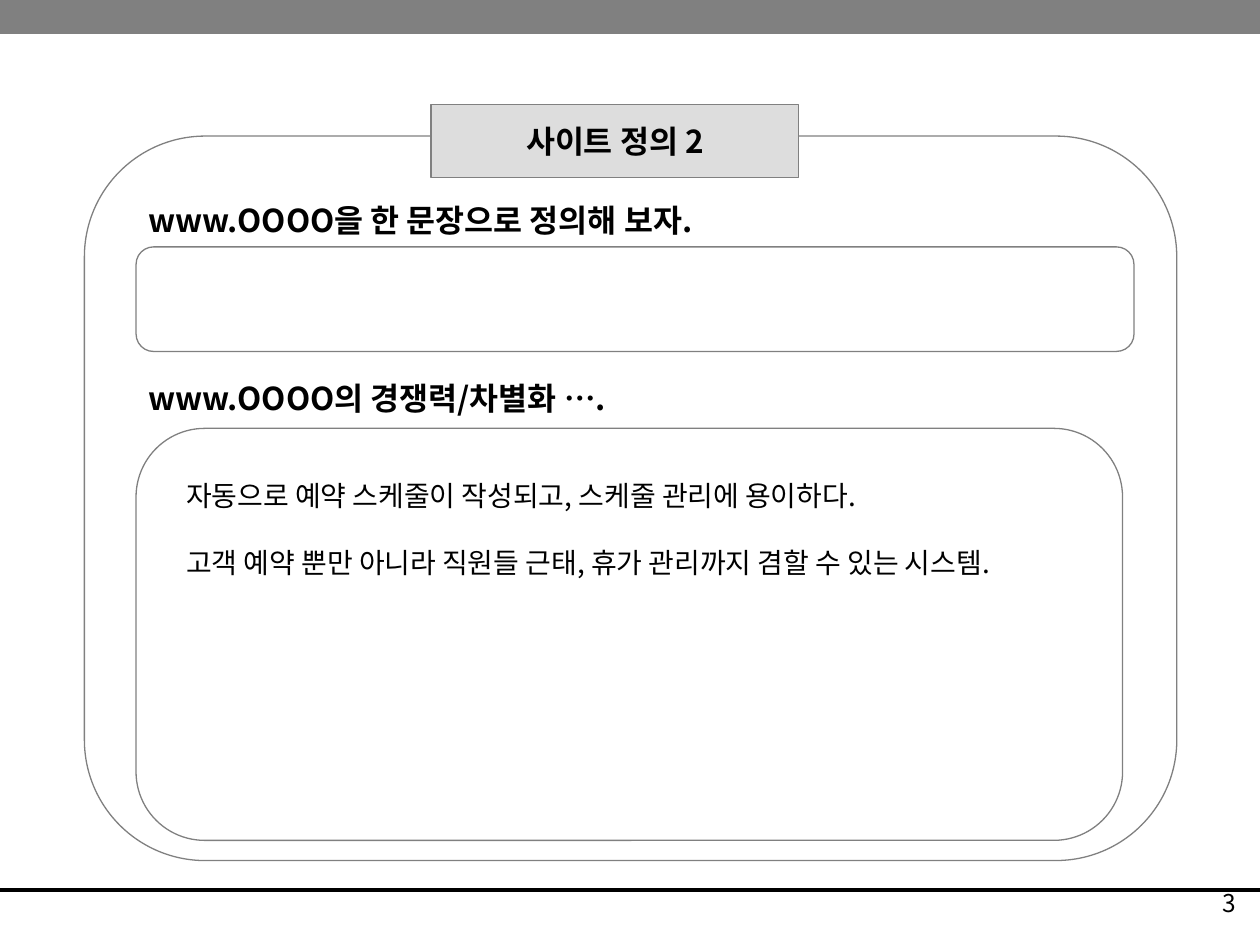
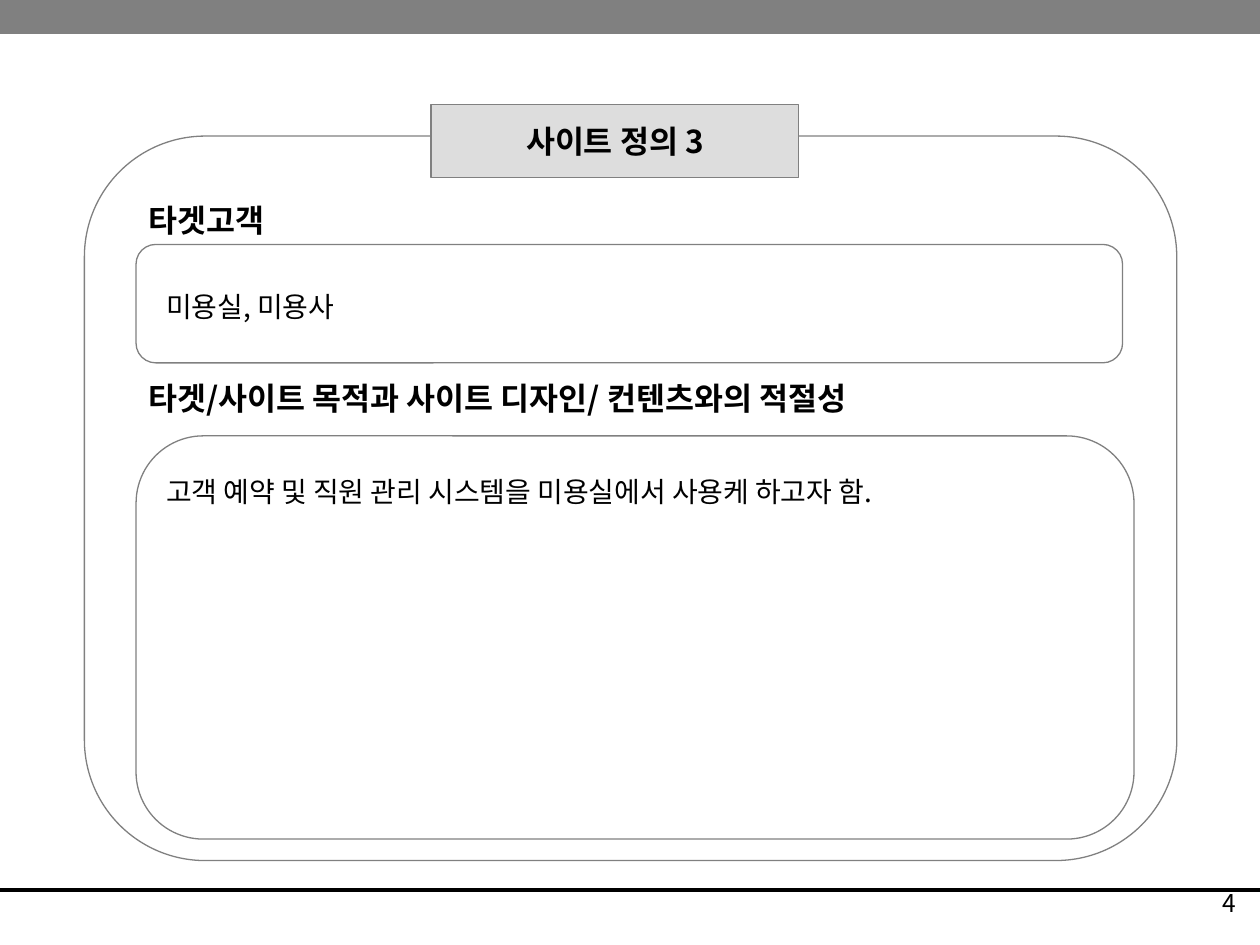
"""Builds two site-definition worksheet slides."""
from dataclasses import dataclass

from lxml import etree
from pptx import Presentation
from pptx.dml.color import RGBColor
from pptx.enum import shapes, text
from pptx.oxml.ns import qn
from pptx.util import Inches, Pt


@dataclass(frozen=True)
class Theme:
    """Colours, fonts and sizes shared by the slides."""
    font: str = "Noto Sans CJK KR"
    symbol_font: str = "Times New Roman"
    ink: RGBColor = RGBColor(0, 0, 0)
    grey: RGBColor = RGBColor(0x80, 0x80, 0x80)
    title_fill: RGBColor = RGBColor(0xDD, 0xDD, 0xDD)
    heading: int = 18
    body: int = 16
    number: int = 14
    outline: float = 0.75
    rule: float = 2.25


T = Theme()
ELLIPSIS = "…"


def style(p, size, bold=False, align=text.PP_ALIGN.LEFT):
    """Set one paragraph's font for Latin and Korean text."""
    p.alignment = align
    font = p.font
    font.name, font.size, font.bold = T.font, Pt(size), bold
    font.color.rgb = T.ink
    latin = p._p.pPr.find(qn("a:defRPr")).find(qn("a:latin"))
    ea = etree.Element(qn("a:ea"))
    ea.set("typeface", T.font)
    latin.addnext(ea)


def add_box(s, kind, box, fill=None, line=T.grey):
    """Add a preset shape, unfilled unless a fill is given."""
    sp = s.shapes.add_shape(kind, *map(Inches, box))
    sp.shadow.inherit = False
    if fill is None:
        sp.fill.background()
    else:
        sp.fill.solid()
        sp.fill.fore_color.rgb = fill
    if line is None:
        sp.line.fill.background()
    else:
        sp.line.color.rgb = line
        sp.line.width = Pt(T.outline)
    return sp


def add_panel(s, *box):
    """Add an outlined rounded panel."""
    add_box(s, shapes.MSO_SHAPE.ROUNDED_RECTANGLE, box)


def add_text(s, box, lines, size, wrap=True, gap=0, **look):
    """Add a text box with one paragraph per line."""
    tf = s.shapes.add_textbox(*map(Inches, box)).text_frame
    tf.word_wrap = wrap
    for i, line in enumerate(lines):
        p = tf.add_paragraph() if i else tf.paragraphs[0]
        for part in line.partition(ELLIPSIS):
            if part:
                r = p.add_run()
                r.text = part
                if part == ELLIPSIS:
                    r.font.name = T.symbol_font
        if i:
            p.space_before = Pt(gap)
        style(p, size, **look)


def add_heading(s, top, wording, width=5):
    """Add a bold section heading."""
    add_text(s, (1.08, top, width, 0.4), [wording], T.heading, bold=True)


def add_answer(s, box, *lines):
    """Add answer text with a line's gap between paragraphs."""
    add_text(s, box, lines, T.body, wrap=False, gap=19)


def add_frame(prs, title, number):
    """Add a slide with its band, rule, number, frame and title."""
    s = prs.slides.add_slide(prs.slide_layouts[6])
    rule = s.shapes.add_connector(shapes.MSO_CONNECTOR.STRAIGHT, 0, Inches(7.06),
                                  prs.slide_width, Inches(7.06))
    rule.line.color.rgb = T.ink
    rule.line.width = Pt(T.rule)
    etree.SubElement(rule._element.spPr, qn("a:effectLst"))
    add_box(s, shapes.MSO_SHAPE.RECTANGLE, (0, 0, 10, 0.27), T.grey, None)
    add_text(s, (7.83, 7, 2.08, 0.5), [str(number)], T.number,
             align=text.PP_ALIGN.RIGHT)
    add_panel(s, 0.67, 1.08, 8.67, 5.75)
    sp = add_box(s, shapes.MSO_SHAPE.RECTANGLE, (3.42, 0.83, 2.92, 0.58), T.title_fill)
    tf = sp.text_frame
    tf.word_wrap = False
    tf.vertical_anchor = text.MSO_ANCHOR.MIDDLE
    tf.text = title
    style(tf.paragraphs[0], T.heading, True, text.PP_ALIGN.CENTER)
    return s


def add_competitiveness(prs):
    """Add the slide on the site's definition and strengths."""
    s = add_frame(prs, "사이트 정의 2", 3)
    add_heading(s, 1.55, "www.OOOO을 한 문장으로 정의해 보자.")
    add_panel(s, 1.08, 1.96, 7.92, 0.83)
    add_heading(s, 2.96, "www.OOOO의 경쟁력/차별화 ….")
    add_panel(s, 1.08, 3.4, 7.83, 3.27)
    add_answer(s, (1.38, 3.75, 7.46, 0.91),
               "자동으로 예약 스케줄이 작성되고, 스케줄 관리에 용이하다.",
               "고객 예약 뿐만 아니라 직원들 근태, 휴가 관리까지 겸할 수 있는 시스템.")


def add_target(prs):
    """Add the slide on target customers and design fit."""
    s = add_frame(prs, "사이트 정의 3", 4)
    add_heading(s, 1.55, "타겟고객")
    add_panel(s, 1.08, 1.94, 7.83, 0.94)
    add_answer(s, (1.22, 2.25, 1.7, 0.37), "미용실, 미용사")
    add_heading(s, 2.96, "타겟/사이트 목적과 사이트 디자인/ 컨텐츠와의 적절성", 6.99)
    add_panel(s, 1.08, 3.46, 7.92, 3.2)
    add_answer(s, (1.22, 3.72, 6.57, 0.37),
               "고객 예약 및 직원 관리 시스템을 미용실에서 사용케 하고자 함.")


def main():
    """Build and save the presentation."""
    prs = Presentation()
    prs.slide_width, prs.slide_height = Inches(10), Inches(7.5)
    add_competitiveness(prs)
    add_target(prs)
    prs.save("out.pptx")


if __name__ == "__main__":
    main()
